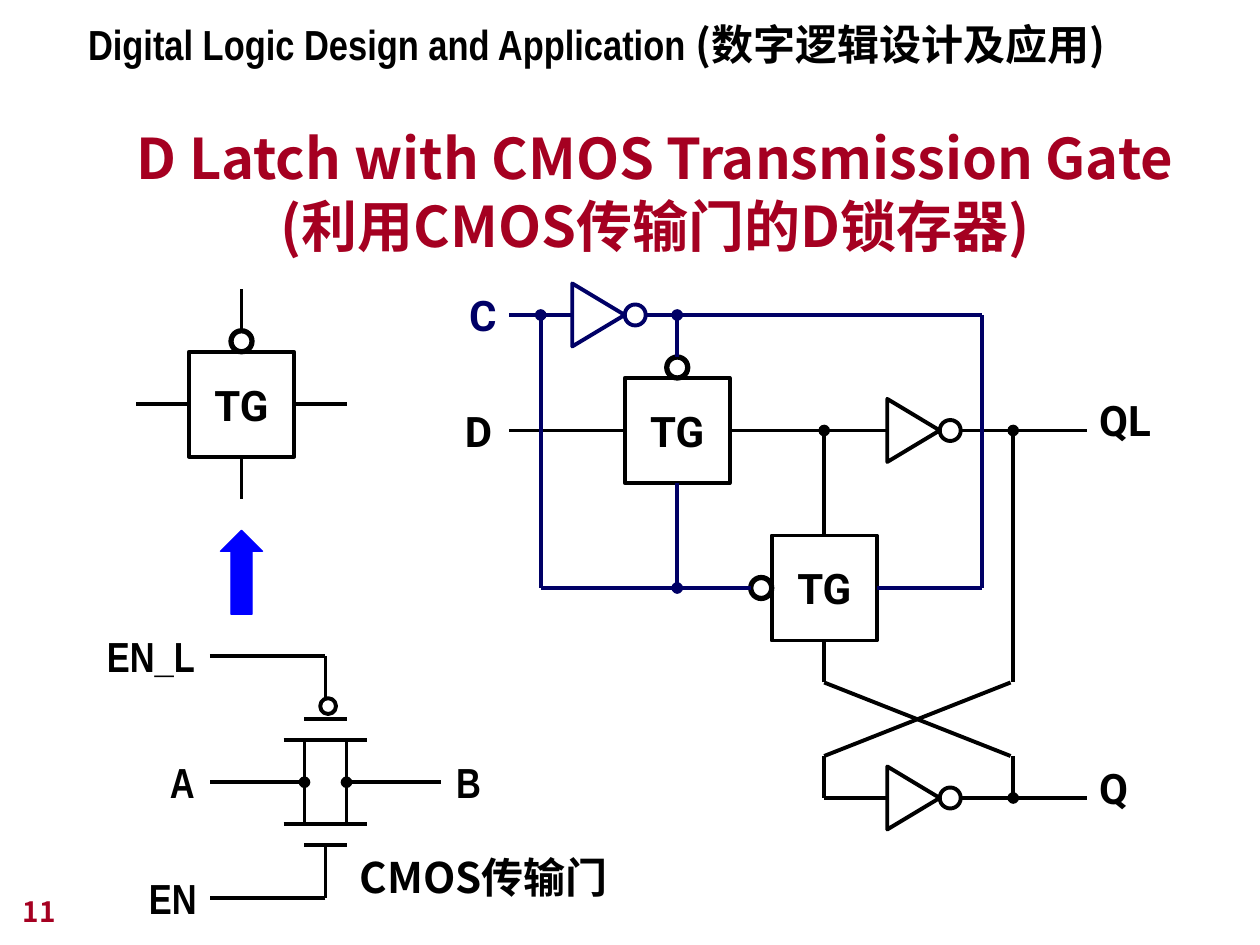
from lxml.etree import SubElement
from pptx import Presentation
from pptx.dml.color import RGBColor
from pptx.enum.shapes import MSO_CONNECTOR, MSO_SHAPE
from pptx.enum.text import MSO_ANCHOR, MSO_AUTO_SIZE, PP_ALIGN
from pptx.oxml.ns import qn
from pptx.util import Cm, Pt

BLACK = RGBColor(0x00, 0x00, 0x00)
NAVY = RGBColor(0x00, 0x00, 0x66)
BLUE = RGBColor(0x00, 0x00, 0xFF)
RED = RGBColor(0xA5, 0x00, 0x21)
SANS = "Roboto"
SLIM = "Arial Narrow"
HAN = "Noto Sans CJK JP"
HAN_SC = "Noto Sans CJK SC"


def grid(*nums):
    return [Cm(2.54 * num / 24) for num in nums]


class Sheet:
    def __init__(self, slide):
        self.slide = slide
        self.shapes = slide.shapes
        self.width = 2.25
        self.size = 24

    def style(self, font, face, color, size):
        font.name = face
        font.size = Pt(size)
        font.bold = True
        font.color.rgb = color

    def east(self, node, face):
        latin = node.find(qn("a:latin"))
        east = SubElement(node, qn("a:ea"), typeface=face)
        latin.addnext(east)

    def letter(self, para, text, face, color, size):
        para.text = text
        self.style(para.font, face, color, size)
        self.east(para._p.pPr.find(qn("a:defRPr")), face)

    def title(self, text, box):
        shape = self.shapes.title
        shape.left, shape.top, shape.width, shape.height = grid(*box)
        frame = shape.text_frame
        frame.auto_size = MSO_AUTO_SIZE.NONE
        frame.vertical_anchor = MSO_ANCHOR.BOTTOM
        para = frame.paragraphs[0]
        para.alignment = PP_ALIGN.CENTER
        self.letter(para, text, HAN, RED, 32)

    def frame(self, box, wrap):
        frame = self.shapes.add_textbox(*grid(*box)).text_frame
        frame.word_wrap = wrap
        return frame

    def label(self, text, x, y, wide, face=SANS, color=BLACK):
        para = self.frame((x, y, wide, 12), False).paragraphs[0]
        self.letter(para, text, face, color, self.size)

    def header(self, parts, box):
        para = self.frame(box, True).paragraphs[0]
        for text, face in parts:
            run = para.add_run()
            run.text = text
            self.style(run.font, face, BLACK, self.size)
            self.east(run._r.rPr, face)

    def number(self, text, box):
        frame = self.frame(box, True)
        frame.vertical_anchor = MSO_ANCHOR.BOTTOM
        self.letter(frame.paragraphs[0], text, HAN, RED, 16)

    def shape(self, kind, x, y, wide, high, color=BLACK, width=None):
        shape = self.shapes.add_shape(
            kind, *grid(x - wide / 2, y - high / 2, wide, high))
        shape.shadow.inherit = False
        shape.fill.background()
        shape.line.color.rgb = color
        shape.line.width = Pt(width or self.width)
        return shape

    def ring(self, x, y, color=BLACK, width=None, size=4):
        self.shape(MSO_SHAPE.OVAL, x, y, size, size, color, width)

    def gate(self, x, y, dx, dy):
        shape = self.shape(MSO_SHAPE.RECTANGLE, x, y, 20, 20)
        frame = shape.text_frame
        frame.word_wrap = False
        frame.vertical_anchor = MSO_ANCHOR.MIDDLE
        para = frame.paragraphs[0]
        para.alignment = PP_ALIGN.CENTER
        self.letter(para, "TG", SANS, BLACK, self.size)
        self.ring(x + 12 * dx, y + 12 * dy, width=3)

    def invert(self, x, y, color=BLACK):
        shape = self.shape(
            MSO_SHAPE.ISOSCELES_TRIANGLE, x + 5, y, 12, 10, color)
        shape.rotation = 90
        self.ring(x + 12, y, color)

    def arrow(self, x, y):
        shape = self.shape(MSO_SHAPE.UP_ARROW, x, y, 8, 16, BLUE, 0.75)
        shape.fill.solid()
        shape.fill.fore_color.rgb = BLUE

    def wire(self, x1, y1, x2, y2, color=BLACK, dot=False):
        line = self.shapes.add_connector(
            MSO_CONNECTOR.STRAIGHT, *grid(x1, y1, x2, y2))
        line.line.color.rgb = color
        line.line.width = Pt(self.width)
        props = line._element.spPr
        if dot:
            SubElement(props.find(qn("a:ln")), qn("a:headEnd"), type="oval")
        SubElement(props, qn("a:effectLst"))

    def wires(self, ends, color=BLACK, dot=False):
        for end in ends:
            self.wire(*end, color, dot)


def latch(sheet):
    sheet.gate(129, 82, 0, -1)
    sheet.gate(157, 112, -1, 0)
    for y in (82, 152):
        sheet.invert(169, y)
        sheet.wire(183, y, 207, y)
    sheet.invert(109, 60, NAVY)
    sheet.wires([
        (97, 82, 119, 82), (139, 82, 169, 82), (157, 152, 169, 152),
        (157, 130, 192.5, 144), (157, 144, 192.5, 130),
        (157, 144, 157, 152), (157, 130, 157, 122),
    ])
    sheet.wires([
        (193, 82, 193, 130), (193, 152, 193, 144), (157, 82, 157, 102),
    ], dot=True)
    sheet.wires([
        (97, 60, 109, 60), (123, 60, 187, 60), (187, 60, 187, 112),
        (103, 112, 143, 112), (167, 112, 187, 112),
    ], NAVY)
    sheet.wires([
        (103, 60, 103, 112), (129, 112, 129, 92), (129, 60, 129, 68),
    ], NAVY, True)
    sheet.label("QL", 207, 74, 15.6)
    sheet.label("Q", 207, 144, 11)
    sheet.label("D", 86.2, 76, 10.6)
    sheet.label("C", 87, 54, 10, color=NAVY)


def switch(sheet):
    for plate, body in ((137, 141), (161, 157)):
        sheet.wire(58, plate, 66, plate)
        sheet.wire(54, body, 70, body)
        for x in (58, 66):
            sheet.wire(x, body, x, 149)
    sheet.ring(62.5, 134.5, size=3)
    sheet.wires([
        (40, 125, 62, 125), (62, 125, 62, 133),
        (62, 171, 62, 161), (62, 171, 40, 171),
    ])
    sheet.wires([(66, 149, 84, 149), (58, 149, 40, 149)], dot=True)
    for text, x, y, wide in (("EN", 26, 165, 14), ("EN_L", 18, 119, 21.6),
                             ("A", 30, 143, 9.4), ("B", 84.5, 143, 9.4)):
        sheet.label(text, x, y, wide, SLIM)
    sheet.label("CMOS传输门", 66.2, 161, 54, HAN_SC)


def symbol(sheet):
    sheet.gate(46, 77, 0, -1)
    sheet.wires([
        (26, 77, 36, 77), (56, 77, 66, 77),
        (46, 63, 46, 55), (46, 95, 46, 87),
    ])
    sheet.arrow(46, 109)


def main():
    deck = Presentation()
    deck.slide_width, deck.slide_height = Cm(25.4), Cm(19.05)
    sheet = Sheet(deck.slides.add_slide(deck.slide_layouts[5]))
    sheet.title("D Latch with CMOS Transmission Gate\v(利用CMOS传输门的D锁存器)",
                (18, 20.2, 213.6, 30.2))
    latch(sheet)
    switch(sheet)
    symbol(sheet)
    sheet.header([("Digital Logic Design and Application ", SLIM),
                  ("(数字逻辑设计及应用)", HAN)], (14.4, 2.4, 201.8, 12))
    sheet.number("11", (2, 166, 50, 12))
    deck.save("out.pptx")


if __name__ == "__main__":
    main()
